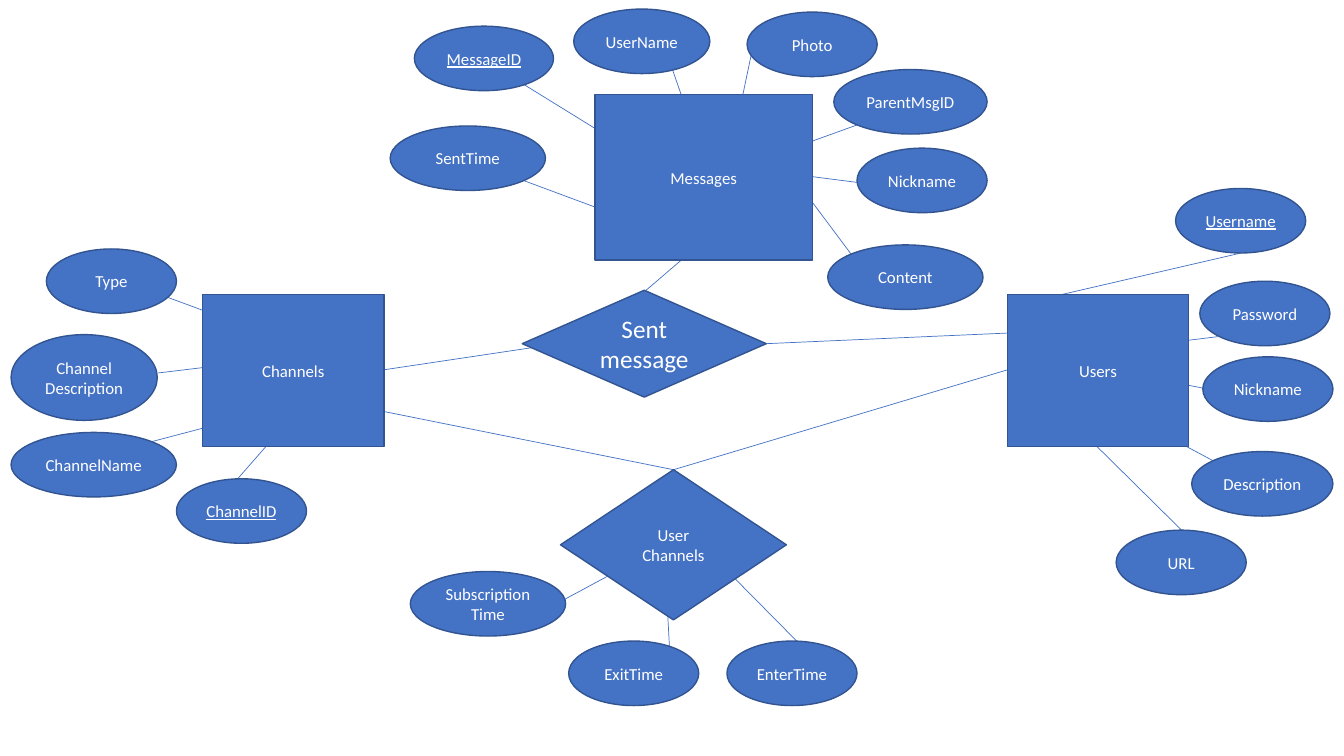
from lxml.etree import SubElement
from pptx import Presentation
from pptx.dml.color import RGBColor
from pptx.enum.shapes import MSO_CONNECTOR, MSO_SHAPE
from pptx.enum.text import MSO_ANCHOR, PP_ALIGN
from pptx.oxml.ns import qn
from pptx.util import Inches, Pt

COLORS = {"fill": "4472C4", "outline": "325491", "text": "FFFFFF"}
ATTRIBUTE_WIDTH, ATTRIBUTE_HEIGHT = 1.29, 0.64

# Kind, name, left, top, width, height, font size
ENTITIES = [
    (MSO_SHAPE.RECTANGLE, "Users", 9.99, 2.92, 1.8, 1.51, 12),
    (MSO_SHAPE.RECTANGLE, "Channels", 2.01, 2.92, 1.8, 1.51, 12),
    (MSO_SHAPE.FLOWCHART_PROCESS, "Messages", 5.9, 0.94, 2.16, 1.64, 12),
    (MSO_SHAPE.DIAMOND, "User Channels", 5.56, 4.66, 2.24, 1.49, 12),
    (MSO_SHAPE.DIAMOND, "Sent message", 5.18, 2.88, 2.42, 1.06, 18),
]

# Name, left, top, then width and height where they differ from the usual
ATTRIBUTES = [
    # Users
    ("Password", 11.9, 2.79),
    ("Nickname", 11.93, 3.54),
    ("Description", 11.82, 4.48, 1.4),
    ("URL", 11.07, 5.26),
    # Channels
    ("Type", 0.46, 2.47),
    ("Channel\nDescription", 0.11, 3.32, 1.45, 0.85),
    ("ChannelName", 0.11, 4.29, 1.64),
    # Messages
    ("SentTime", 3.87, 1.25, 1.54),
    ("UserName", 5.69, 0.09, 1.35),
    ("Photo", 7.41, 0.12),
    ("ParentMsgID", 8.27, 0.69, 1.52),
    ("Nickname", 8.5, 1.47),
    ("Content", 8.21, 2.43, 1.54),
    # User Channels
    ("SubscriptionTime", 4.07, 5.67, 1.54),
    ("ExitTime", 5.64, 6.36),
    ("EnterTime", 7.21, 6.36),
]

KEYS = [
    ("Username", 11.66, 1.87),
    ("ChannelID", 1.75, 4.75),
    ("MessageID", 4.11, 0.26, 1.38),
]

# Start x, start y, end x, end y
LINKS = [
    # Users to its attributes
    (10.54, 2.92, 12.31, 2.51),
    (11.67, 3.39, 12.08, 3.34),
    (11.57, 3.78, 11.93, 3.85),
    (11.13, 4.09, 12.03, 4.57),
    (10.88, 4.43, 11.72, 5.26),
    # Channels to its attributes
    (1.5, 2.89, 2.07, 3.1),
    (1.57, 3.7, 2.07, 3.64),
    (1.51, 4.38, 2.08, 4.23),
    (2.27, 4.85, 2.69, 4.37),
    # Messages to its attributes
    (5.15, 0.81, 6.38, 1.57),
    (5.19, 1.79, 6.32, 2.21),
    (6.67, 0.69, 6.86, 1.24),
    (7.46, 0.5, 7.25, 1.5),
    (7.64, 1.55, 8.5, 1.24),
    (7.8, 1.72, 8.66, 1.83),
    (7.97, 1.89, 8.56, 2.68),
    # User Channels to its attributes
    (6.28, 5.58, 5.37, 6.07),
    (6.6, 5.67, 6.64, 6.42),
    (7.22, 5.67, 8.05, 6.51),
    # Relationships to entities
    (6.68, 4.66, 2.7, 3.86),
    (9.99, 3.67, 6.68, 4.66),
    (6.98, 2.39, 5.73, 3.46),
    (5.54, 3.41, 3.8, 3.67),
    (7.59, 3.41, 10.32, 3.29),
]


def color(name):
    return RGBColor.from_string(COLORS[name])


def add_link(page, *ends):
    link = page.shapes.add_connector(MSO_CONNECTOR.STRAIGHT, *map(Inches, ends))
    link.line.color.rgb = color("fill")
    link.line.width = Pt(0.5)
    SubElement(link._element.spPr, qn("a:effectLst"))


def add_node(page, kind, name, left, top, width, height, size=12, underline=None):
    node = page.shapes.add_shape(kind, *map(Inches, (left, top, width, height)))
    node.shadow.inherit = False
    node.fill.solid()
    node.fill.fore_color.rgb = color("fill")
    node.line.color.rgb = color("outline")
    node.line.width = Pt(1)
    frame = node.text_frame
    frame.word_wrap = True
    frame.vertical_anchor = MSO_ANCHOR.MIDDLE
    para = frame.paragraphs[0]
    para.text = name
    para.alignment = PP_ALIGN.CENTER
    para.font.name = "Calibri"
    para.font.size = Pt(size)
    para.font.color.rgb = color("text")
    # Underlining is only drawn when set on the runs
    for span in para.runs:
        span.font.underline = underline


def add_attribute(page, name, left, top, width=ATTRIBUTE_WIDTH,
                  height=ATTRIBUTE_HEIGHT, underline=None):
    add_node(page, MSO_SHAPE.OVAL, name, left, top, width, height,
             underline=underline)


def main():
    deck = Presentation()
    deck.slide_width, deck.slide_height = Inches(13.33), Inches(7.5)
    page = deck.slides.add_slide(deck.slide_layouts[6])

    # Links lie behind the nodes they join
    for link in LINKS:
        add_link(page, *link)
    for entity in ENTITIES:
        add_node(page, *entity)
    for attribute in ATTRIBUTES:
        add_attribute(page, *attribute)
    for key in KEYS:
        add_attribute(page, *key, underline=True)

    deck.save("out.pptx")


if __name__ == "__main__":
    main()
